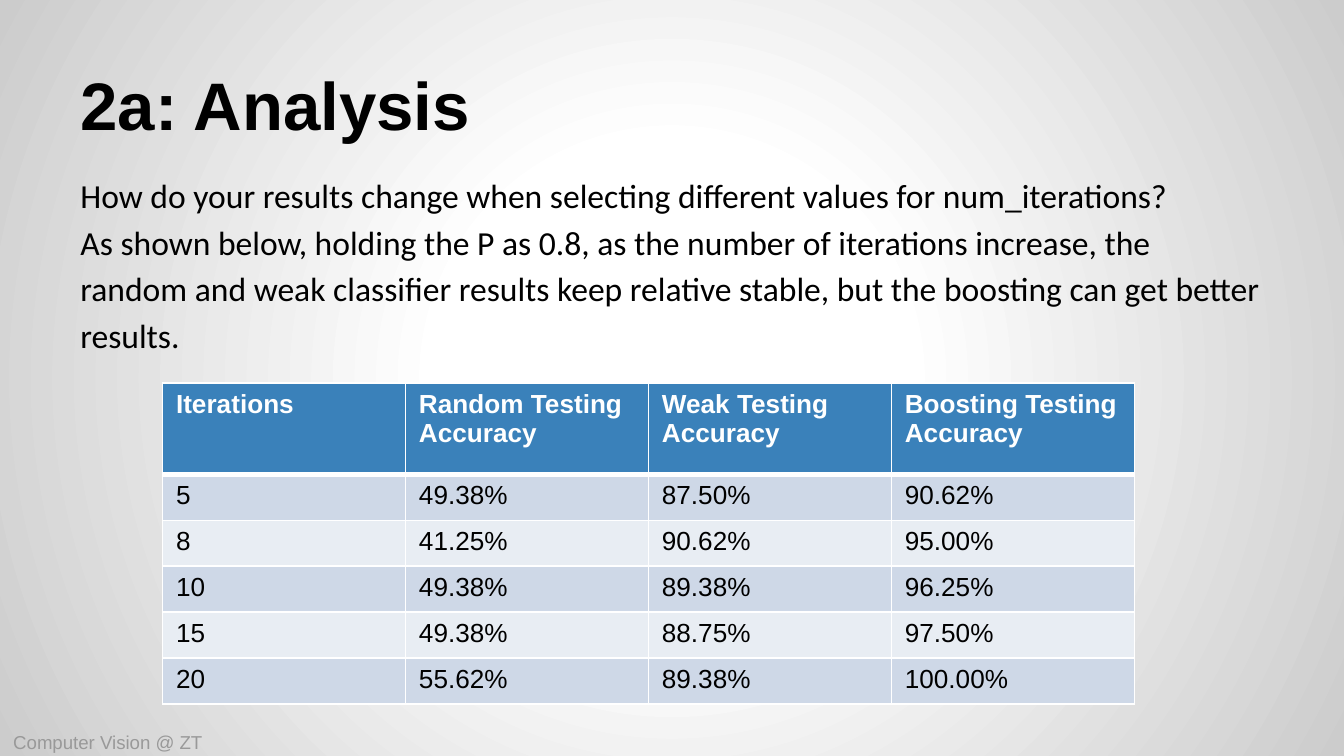
from lxml import etree
from pptx import Presentation
from pptx import util as u
from pptx.dml.color import RGBColor
from pptx.enum import text
from pptx.oxml import ns

INK, WHITE, GREY, BLUE = "000000", "FFFFFF", "999999", "3A81BA"
BANDS = ["CED8E7", "E8EDF3"]
ROWS = [
    ["Iterations", "Random Testing Accuracy", "Weak Testing Accuracy",
     "Boosting Testing Accuracy"],
    ["5", "49.38%", "87.50%", "90.62%"],
    ["8", "41.25%", "90.62%", "95.00%"],
    ["10", "49.38%", "89.38%", "96.25%"],
    ["15", "49.38%", "88.75%", "97.50%"],
    ["20", "55.62%", "89.38%", "100.00%"],
]


def paint(target, color):
    """Colour a fill or a font with a hex string."""
    if hasattr(target, "solid"):
        target.solid()
        target.fore_color.rgb = RGBColor.from_string(color)
    else:
        target.color.rgb = RGBColor.from_string(color)


def node(parent, tag, **attrs):
    child = etree.SubElement(parent, ns.qn(tag))
    for key, val in attrs.items():
        child.set(key, str(val))
    return child


def write(frame, lines, size=18, font="Arial", color=INK, bold=False, space=None):
    for i, line in enumerate(lines):
        para = frame.paragraphs[0] if i == 0 else frame.add_paragraph()
        if space:
            para.line_spacing = space
        run = para.add_run()
        run.text = line
        run.font.size, run.font.name, run.font.bold = u.Pt(size), font, bold
        paint(run.font, color)


def label(slide, box, lines, anchor=text.MSO_ANCHOR.TOP, **form):
    frame = slide.shapes.add_textbox(*map(u.Inches, box)).text_frame
    frame.word_wrap = True
    frame.vertical_anchor = anchor
    frame.margin_left = frame.margin_right = u.Inches(0.1)
    frame.margin_top = frame.margin_bottom = u.Inches(0.1)
    write(frame, lines, **form)


def glow(slide):
    """Radial background, white in the middle."""
    fill = slide.background.fill
    fill.gradient()
    grad = slide.element.find(".//" + ns.qn("a:gradFill"))
    for child in list(grad):
        grad.remove(child)
    stops = node(grad, "a:gsLst")
    for pos, color in [(0, WHITE), (30, WHITE), (100, "CCCCCC")]:
        node(node(stops, "a:gs", pos=pos * 1000), "a:srgbClr", val=color)
    ring = node(grad, "a:path", path="circle")
    node(ring, "a:fillToRect", l=50000, t=50000, r=50000, b=50000)


def edge(cell, low):
    """White borders; low is the width of the bottom one, in points."""
    props = cell._tc.get_or_add_tcPr()
    sides = [("a:lnL", 1), ("a:lnR", 1), ("a:lnT", 1), ("a:lnB", low)]
    for i, (tag, width) in enumerate(sides):
        line = node(props, tag, w=u.Pt(width))
        node(node(line, "a:solidFill"), "a:srgbClr", val=WHITE)
        props.insert(i, line)


def grid(slide, box, rows, head=0.68):
    left, top, width, height = box
    table = slide.shapes.add_table(
        len(rows), len(rows[0]), *map(u.Inches, box)).table
    for col in table.columns:
        col.width = u.Inches(width / len(rows[0]))
    for r, row in enumerate(rows):
        first = r == 0
        rest = (height - head) / (len(rows) - 1)
        table.rows[r].height = u.Inches(head if first else rest)
        for c, value in enumerate(row):
            cell = table.cell(r, c)
            paint(cell.fill, BLUE if first else BANDS[(r - 1) % 2])
            edge(cell, 3 if first else 1)
            write(cell.text_frame, [value], size=14, bold=first,
                  color=WHITE if first else INK)


def build(slide):
    glow(slide)
    # Title and footer
    label(slide, (0.5, 0.23, 9.39, 0.94), ["2a: Analysis"],
          anchor=text.MSO_ANCHOR.BOTTOM, size=36, bold=True)
    label(slide, (0, 5.41, 2.81, 0.22), ["Computer Vision @ ZT"],
          anchor=text.MSO_ANCHOR.MIDDLE, size=10, color=GREY)
    # Question and answer
    label(slide, (0.5, 1.16, 9, 1.69), [
        "How do your results change when selecting different values for "
        "num_iterations?",
        "As shown below, holding the P as 0.8, as the number of iterations "
        "increase, the random and weak classifier results keep relative "
        "stable, but the boosting can get better results.",
    ], font="Calibri", space=1.15)
    # Accuracy table
    grid(slide, (1.21, 2.85, 7.23, 2.39), ROWS)


# Widescreen page, 16 to 9
deck = Presentation()
deck.slide_width = u.Inches(10)
deck.slide_height = deck.slide_width * 9 // 16
build(deck.slides.add_slide(deck.slide_layouts[6]))
deck.save("out.pptx")
